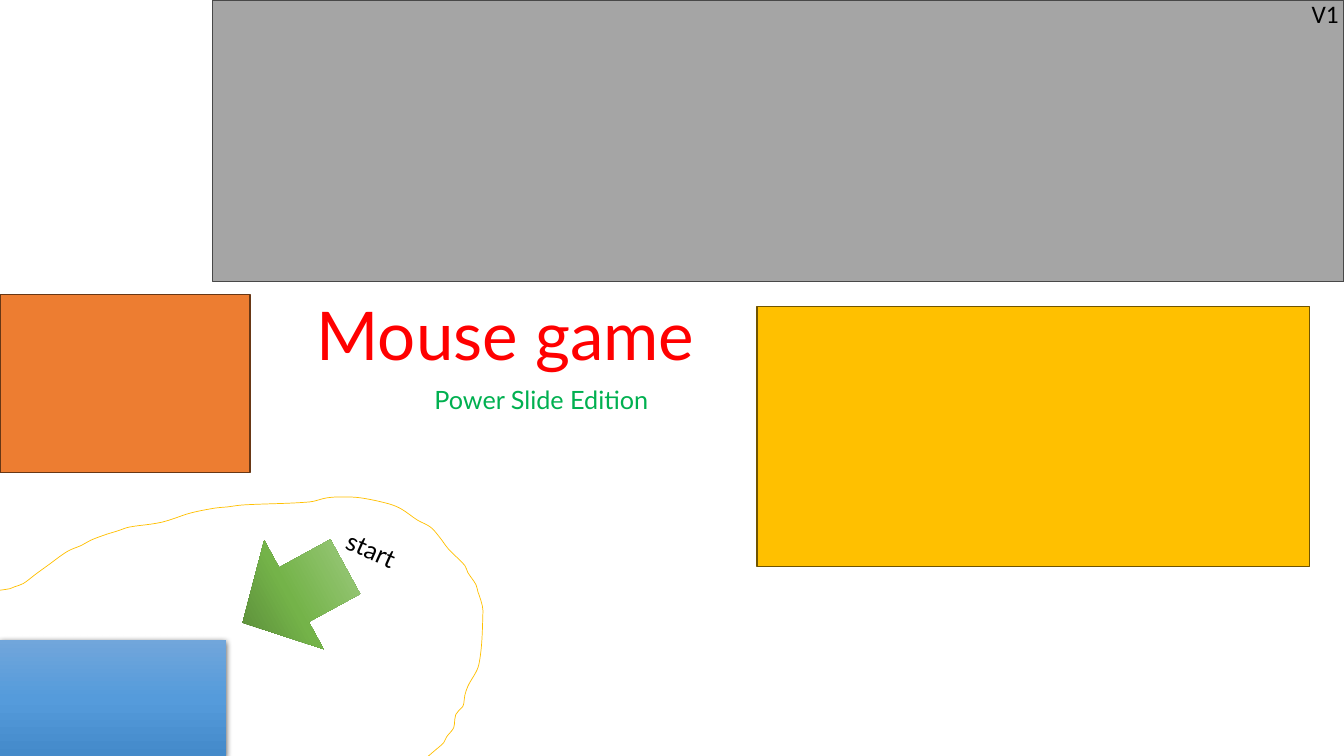
"""Build the opening slide of a mouse maze game."""
import math

import pptx
import pptx.util
import pptx.dml.color
import pptx.enum.shapes
import pptx.enum.text
import pptx.oxml
import pptx.oxml.ns
from lxml import etree

Inches = pptx.util.Inches
Pt = pptx.util.Pt
qn = pptx.oxml.ns.qn
SHAPES = pptx.enum.shapes.MSO_SHAPE

COLORS = {
    "red": "FF0000", "green": "00B050", "black": "000000",
    "gray": "A5A5A5", "gray edge": "484848",
    "gold": "FFC000", "gold edge": "705400",
    "orange": "ED7D31", "orange edge": "683715",
}
BLUE_STOPS = [(0, "71A6DB"), (50, "559BDB"), (100, "448ACA")]
GREEN_STOPS = [(0, "4B7430"), (48, "74B349"), (100, "A9D18E")]

TITLE = ("Mouse game", (3.04, 2.86, 4.37, 0.91), 0, 48, "Lato", "red")
LABELS = [
    ("start", (3.3, 5.41, 1.48, 0.4), 24.1, 18, "Lato", "black"),
    ("Power Slide Edition", (4.21, 3.76, 2.97, 0.4), 0, 18, "Lato", "green"),
    ("V1", (12.91, -0.07, 1.71, 0.4), 0, 18, "Calibri", "black"),
]
WALLS = [
    ("gray", (2.11, 0, 11.22, 2.79)),
    ("gold", (7.51, 3.04, 5.48, 2.58)),
    ("orange", (0, 2.92, 2.48, 1.77)),
]
START_BLOCK = (0, 6.35, 2.24, 1.15)
START_ARROW = (2.3, 5.32, 1.23, 1.16)
TRAIL = [
    (-0.03, 5.86), (0.1, 5.84), (0.15, 5.82), (0.23, 5.79), (0.35, 5.7),
    (0.46, 5.62), (0.67, 5.47), (0.81, 5.41), (0.9, 5.36), (1.06, 5.3),
    (1.16, 5.27), (1.28, 5.23), (1.5, 5.2), (1.61, 5.18), (1.71, 5.15),
    (1.89, 5.09), (2.14, 5.04), (2.25, 5.03), (2.41, 5.01), (3.07, 4.98),
    (3.24, 4.94), (3.39, 4.93), (3.58, 4.94), (3.86, 5), (3.98, 5.05),
    (4.14, 5.16), (4.27, 5.23), (4.36, 5.33), (4.45, 5.45), (4.61, 5.61),
    (4.64, 5.68), (4.72, 5.8), (4.74, 5.87), (4.77, 5.96), (4.79, 6.06),
    (4.75, 6.59), (4.64, 6.81), (4.61, 6.9), (4.6, 6.98), (4.59, 7.01),
    (4.55, 7.05), (4.52, 7.09), (4.51, 7.14), (4.5, 7.22), (4.43, 7.31),
    (4.4, 7.37), (4.38, 7.39), (4.32, 7.44), (4.25, 7.5), (4.21, 7.53),
]


def rgb(name):
    return pptx.dml.color.RGBColor.from_string(COLORS[name])


def write(shape, text, box, rotation, size, font, color):
    shape.left, shape.top, shape.width, shape.height = map(Inches, box)
    shape.rotation = rotation
    frame = shape.text_frame
    frame.word_wrap = True
    frame.auto_size = pptx.enum.text.MSO_AUTO_SIZE.NONE
    frame.vertical_anchor = pptx.enum.text.MSO_ANCHOR.TOP
    paragraph = frame.paragraphs[0]
    paragraph.alignment = pptx.enum.text.PP_ALIGN.LEFT
    run = paragraph.add_run()
    run.text = text
    run.font.size = Pt(size)
    run.font.name = font
    run.font.color.rgb = rgb(color)


def add_block(slide, kind, box):
    shape = slide.shapes.add_shape(kind, *map(Inches, box))
    shape.shadow.inherit = False
    return shape


def fill_gradient(shape, stops, angle):
    shape.line.fill.background()
    shape.fill.gradient()
    old = shape.element.spPr.find(qn("a:gradFill"))
    stop_xml = "".join(
        f'<a:gs pos="{position * 1000}"><a:srgbClr val="{color}"/></a:gs>'
        for position, color in stops)
    new = pptx.oxml.parse_xml(
        f'<a:gradFill {pptx.oxml.ns.nsdecls("a")} rotWithShape="1">'
        f'<a:gsLst>{stop_xml}</a:gsLst>'
        f'<a:lin ang="{angle * 60000}" scaled="0"/></a:gradFill>')
    old.getparent().replace(old, new)


def add_shadow(shape):
    effects = shape.element.spPr.find(qn("a:effectLst"))
    shadow = etree.SubElement(
        effects, qn("a:outerShdw"), blurRad=str(Pt(4.5)), dist=str(Pt(1.5)),
        dir="5400000", algn="ctr", rotWithShape="0")
    color = etree.SubElement(shadow, qn("a:srgbClr"), val=COLORS["black"])
    etree.SubElement(color, qn("a:alpha"), val="63000")


def handle(point, before, after, reach):
    """Return the control point that lies a given reach along the tangent."""
    dx, dy = after[0] - before[0], after[1] - before[1]
    length = math.hypot(dx, dy)
    return point[0] + dx / length * reach, point[1] + dy / length * reach


def round_corners(shape):
    """Turn the straight segments of a freeform into smooth curves."""
    geometry = shape.element.spPr.find(qn("a:custGeom"))
    points = [(int(point.get("x")), int(point.get("y")))
              for point in geometry.iter(qn("a:pt"))]
    padded = [points[0], *points, points[-1]]
    corners = zip(padded, padded[1:], padded[2:], padded[3:])
    for segment, (before, start, end, after) in zip(
            list(geometry.iter(qn("a:lnTo"))), corners):
        reach = math.dist(start, end) / 3
        controls = [handle(start, before, end, reach),
                    handle(end, start, after, -reach)]
        curve = etree.Element(qn("a:cubicBezTo"))
        for x, y in [*controls, end]:
            etree.SubElement(curve, qn("a:pt"), x=str(round(x)), y=str(round(y)))
        segment.getparent().replace(segment, curve)


def add_trail(slide):
    start, *rest = [tuple(map(Inches, point)) for point in TRAIL]
    builder = slide.shapes.build_freeform(*start)
    builder.add_line_segments(rest, close=False)
    trail = builder.convert_to_shape()
    round_corners(trail)
    trail.shadow.inherit = False
    trail.fill.background()
    trail.line.color.rgb = rgb("gold")
    trail.line.width = Pt(0.5)


def main():
    presentation = pptx.Presentation()
    presentation.slide_width = Inches(13.33)
    presentation.slide_height = Inches(7.5)
    slide = presentation.slides.add_slide(presentation.slide_layouts[5])

    write(slide.shapes.title, *TITLE)
    block = add_block(slide, SHAPES.RECTANGLE, START_BLOCK)
    fill_gradient(block, BLUE_STOPS, 90)
    add_shadow(block)
    for color, box in WALLS:
        wall = add_block(slide, SHAPES.RECTANGLE, box)
        wall.fill.solid()
        wall.fill.fore_color.rgb = rgb(color)
        wall.line.color.rgb = rgb(color + " edge")
        wall.line.width = Pt(1)
    arrow = add_block(slide, SHAPES.DOWN_ARROW, START_ARROW)
    arrow.rotation = 61.4
    fill_gradient(arrow, GREEN_STOPS, 270)
    add_trail(slide)
    for label in LABELS:
        write(slide.shapes.add_textbox(0, 0, 0, 0), *label)

    presentation.save("out.pptx")


if __name__ == "__main__":
    main()
